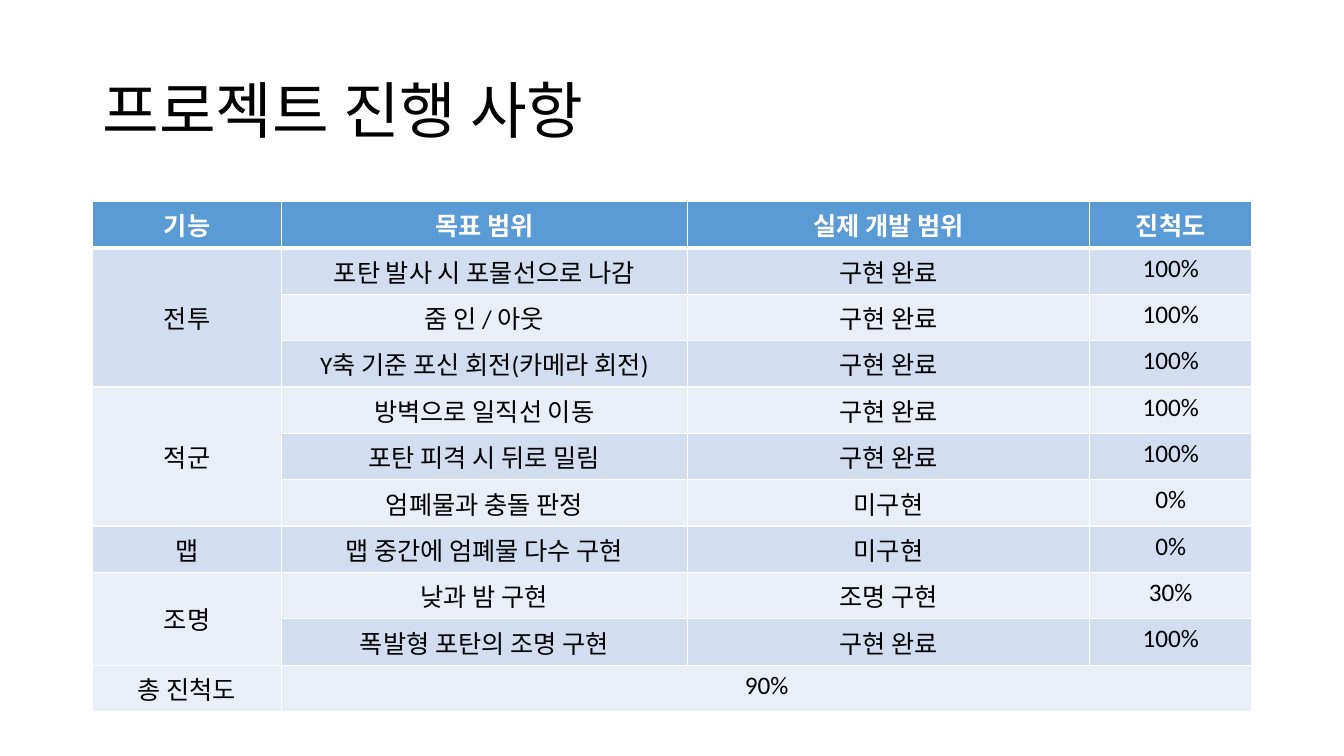
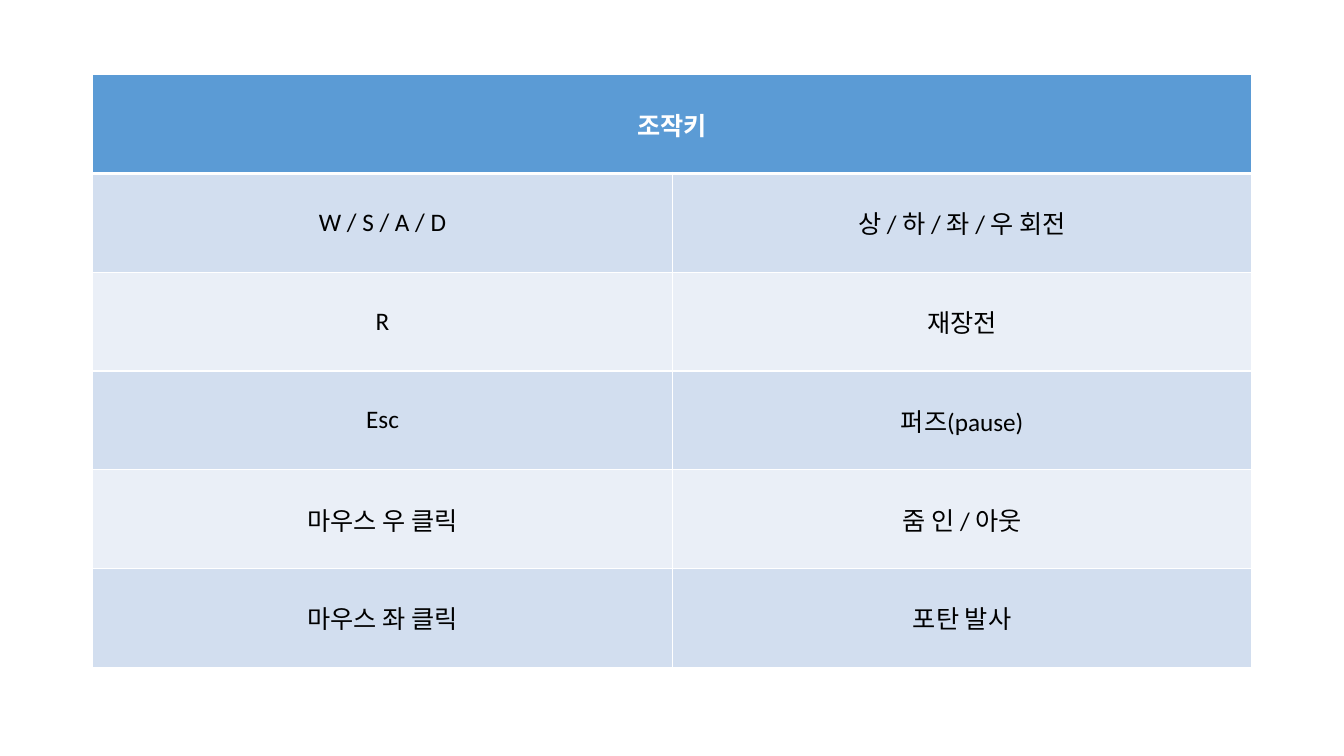
"""Build two slides: project progress and the control keys."""
from lxml import etree
from pptx import Presentation, util as u
from pptx.dml.color import RGBColor
from pptx.enum import text
from pptx.oxml import ns

PX = 9144
FONT = "Calibri"
BLACK, WHITE, HEADER = "000000", "FFFFFF", "5B9BD5"
BANDS = ("D2DEEF", "EAEFF7")
LEFT, WIDTH = 92, 1150
TOP, MIDDLE = text.MSO_ANCHOR.TOP, text.MSO_ANCHOR.MIDDLE

TITLE = "프로젝트 진행 사항"
DONE, MISSING = "구현 완료", "미구현"
PROGRESS = {
    "top": 200,
    "columns": (187, 403, 399, 161),
    "row_height": 46,
    "anchors": (MIDDLE, TOP, TOP, TOP),
    "merges": [((1, 0), (3, 0)), ((4, 0), (6, 0)),
               ((8, 0), (9, 0)), ((10, 1), (10, 3))],
    "rows": [
        ("기능", "목표 범위", "실제 개발 범위", "진척도"),
        ("전투", "포탄 발사 시 포물선으로 나감", DONE, "100%"),
        ("", "줌 인 / 아웃", DONE, "100%"),
        ("", "Y축 기준 포신 회전(카메라 회전)", DONE, "100%"),
        ("적군", "방벽으로 일직선 이동", DONE, "100%"),
        ("", "포탄 피격 시 뒤로 밀림", DONE, "100%"),
        ("", "엄폐물과 충돌 판정", MISSING, "0%"),
        ("맵", "맵 중간에 엄폐물 다수 구현", MISSING, "0%"),
        ("조명", "낮과 밤 구현", "조명 구현", "30%"),
        ("", "폭발형 포탄의 조명 구현", DONE, "100%"),
        ("총 진척도", "90%", "", ""),
    ],
}
CONTROLS = {
    "top": 74,
    "columns": (575, 575),
    "row_height": 98,
    "anchors": (MIDDLE, MIDDLE),
    "merges": [((0, 0), (0, 1))],
    "rows": [
        ("조작키", ""),
        ("W / S / A / D", "상 / 하 / 좌 / 우 회전"),
        ("R", "재장전"),
        ("Esc", "퍼즈(pause)"),
        ("마우스 우 클릭", "줌 인 / 아웃"),
        ("마우스 좌 클릭", "포탄 발사"),
    ],
}


def px(value):
    return u.Emu(value * PX)


def color(value):
    return RGBColor.from_string(value)


def add_run(para, words, size, ink, bold=False):
    span = para.add_run()
    span.text = words
    span.font.name = FONT
    span.font.size = u.Pt(size)
    span.font.bold = bold
    span.font.color.rgb = color(ink)


def add_borders(cell, row):
    widths = {"L": 1, "R": 1, "T": 3 if row == 1 else 1, "B": 3 if row == 0 else 1}
    props = cell._tc.get_or_add_tcPr()
    for side, points in widths.items():
        line = etree.SubElement(props, ns.qn(f"a:ln{side}"), w=str(u.Pt(points)))
        fill = etree.SubElement(line, ns.qn("a:solidFill"))
        etree.SubElement(fill, ns.qn("a:srgbClr"), val=WHITE)


def add_title(page, words):
    box = page.shapes.add_textbox(px(LEFT), px(40), px(WIDTH), px(145))
    frame = box.text_frame
    frame.word_wrap = True
    frame.vertical_anchor = MIDDLE
    para = frame.paragraphs[0]
    para.line_spacing = 0.9
    add_run(para, words, 44, BLACK)


def add_grid(page, data):
    rows, columns = data["rows"], data["columns"]
    height = data["row_height"]
    table = page.shapes.add_table(
        len(rows), len(columns), px(LEFT), px(data["top"]),
        px(sum(columns)), px(height * len(rows))).table
    table.horz_banding = False
    for column, width in zip(table.columns, columns):
        column.width = px(width)
    for r, row in enumerate(rows):
        table.rows[r].height = px(height)
        for c, words in enumerate(row):
            cell = table.cell(r, c)
            add_borders(cell, r)
            cell.fill.solid()
            cell.fill.fore_color.rgb = color(BANDS[(r - 1) % 2] if r else HEADER)
            cell.vertical_anchor = data["anchors"][c]
            para = cell.text_frame.paragraphs[0]
            para.alignment = text.PP_ALIGN.CENTER
            if words:
                add_run(para, words, 18, BLACK if r else WHITE, bold=r == 0)
    for first, last in data["merges"]:
        table.cell(*first).merge(table.cell(*last))


def main():
    deck = Presentation()
    deck.slide_width, deck.slide_height = u.Emu(12192000), px(750)
    for title, data in ((TITLE, PROGRESS), (None, CONTROLS)):
        page = deck.slides.add_slide(deck.slide_layouts[6])
        if title:
            add_title(page, title)
        add_grid(page, data)
    deck.save("out.pptx")


if __name__ == "__main__":
    main()
